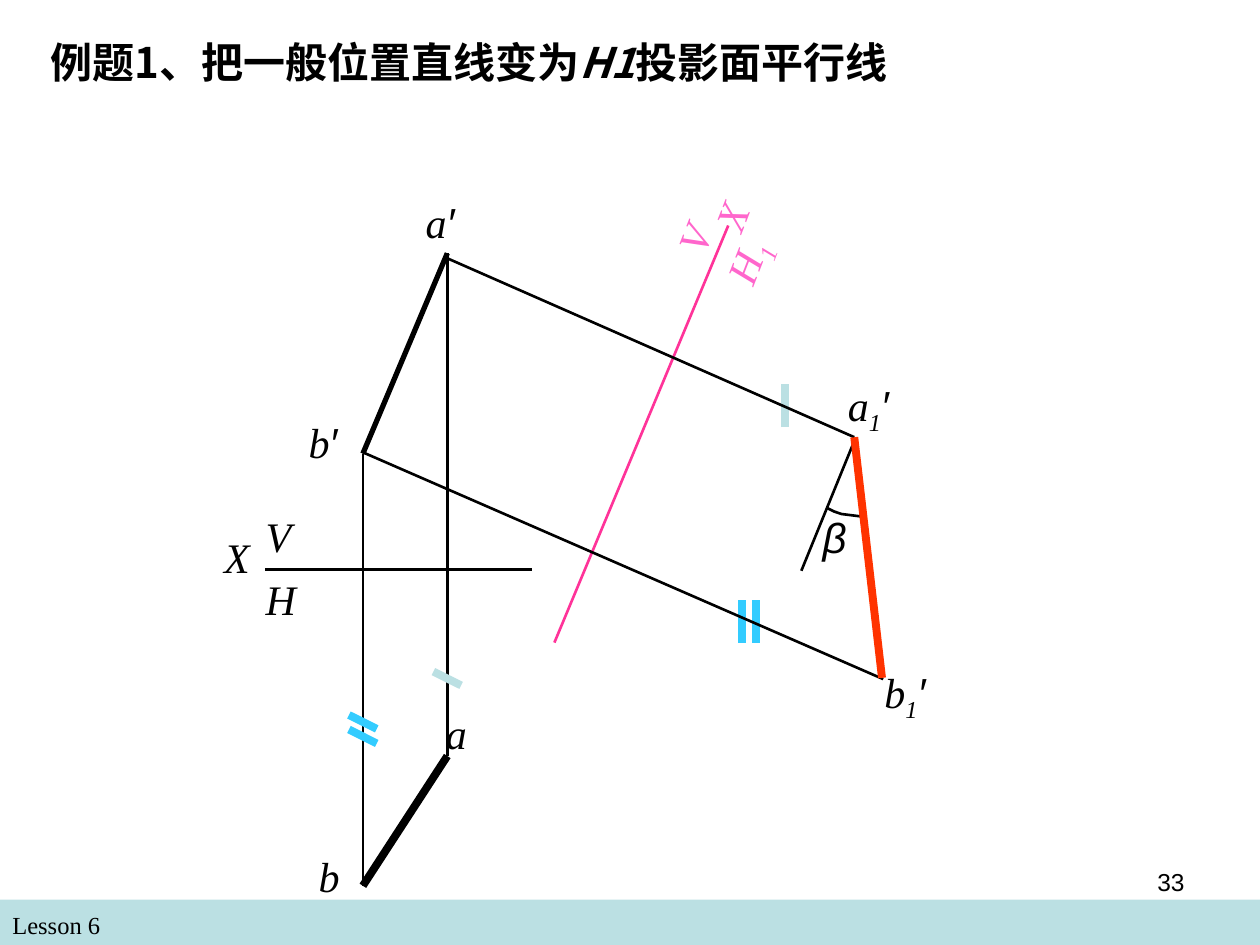
"""Build the descriptive-geometry slide: a general line turned parallel to plane H1."""
from lxml.etree import SubElement
from pptx import Presentation
from pptx.dml.color import RGBColor
from pptx.enum.shapes import MSO_CONNECTOR, MSO_SHAPE
from pptx.enum.text import MSO_ANCHOR, PP_ALIGN
from pptx.oxml.ns import qn
from pptx.util import Inches, Pt

BLACK = RGBColor(0, 0, 0)
PALE = RGBColor(0xBB, 0xE0, 0xE3)
SKY = RGBColor(0x33, 0xCC, 0xFF)
MAGENTA = RGBColor(0xFF, 0x33, 0x99)
PINK = RGBColor(0xFF, 0x66, 0xCC)
RED = RGBColor(0xFF, 0x33, 0x00)
SERIF, SANS, HEADING = "Times New Roman", "Arial", "Noto Sans CJK SC"
COLUMNS, ROWS = 100, 75

deck = Presentation()
deck.slide_width, deck.slide_height = Inches(10), Inches(7.5)
COL, ROW = deck.slide_width / COLUMNS, deck.slide_height / ROWS
slide = deck.slides.add_slide(deck.slide_layouts[5])
shapes = slide.shapes


def grid(*lengths):
    """Turn alternating columns and rows into slide lengths."""
    return [round(n * (ROW if i % 2 else COL)) for i, n in enumerate(lengths)]


def add_run(paragraph, text, font_name, size, color=BLACK, bold=False, italic=False):
    """Append one formatted run."""
    run = paragraph.add_run()
    run.text = text
    run.font.name, run.font.size = font_name, Pt(size)
    run.font.bold, run.font.italic = bold, italic
    run.font.color.rgb = color
    return run


footer_band = shapes.add_shape(MSO_SHAPE.RECTANGLE, *grid(0, 71.4, COLUMNS, 3.6))
footer_band.shadow.inherit = False
footer_band.fill.solid()
footer_band.fill.fore_color.rgb = PALE
footer_band.line.fill.background()

a_front, b_front = (35.5, 20.1), (28.8, 36)
a_top, b_top = (35.5, 60), (28.8, 70.3)
a_new, b_new = (67.8, 34.7), (70.1, 53.9)

segments = [
    ((42.2, 45.2), (21, 45.2), BLACK, 1.5),
    (b_top, b_front, BLACK, 1.5),
    (a_top, a_front, BLACK, 1.5),
    (b_front, a_front, BLACK, 3),
    (b_top, a_top, BLACK, 4.5),
]
for x, y, color in [(60, 47.6, SKY), (58.9, 47.6, SKY), (62.3, 30.5, PALE)]:
    segments.append(((x, y + 3.4), (x, y), color, 4.5))
for x, y, color in [(34.4, 53.3, PALE), (27.7, 57.9, SKY), (27.7, 56.75, SKY)]:
    segments.append(((x + 2.2, y + 1.1), (x, y), color, 4.5))
segments += [
    ((44, 51), (57.8, 17.9), MAGENTA, 1.5),
    (b_new, (28.8, 35.9), BLACK, 1.5),
    (a_new, (35.5, 20.5), BLACK, 1.5),
    ((67.8, 35), (63.6, 45.3), BLACK, 1.5),
]
for start, end, color, weight in segments:
    segment = shapes.add_connector(MSO_CONNECTOR.STRAIGHT, *grid(*start, *end))
    segment.line.color.rgb, segment.line.width = color, Pt(weight)
    SubElement(segment._element.spPr, qn("a:effectLst"))

angle_arc = [(68.4, 41), (67.6, 40.9), (66.8, 40.8), (66.2, 40.6), (65.6, 40.3)]
true_length = [(70, 53.8), a_new]
for points, color, weight in [(angle_arc, BLACK, 1.5), (true_length, RED, 4.5)]:
    builder = shapes.build_freeform(*grid(*points[0]))
    builder.add_line_segments([grid(*point) for point in points[1:]], close=False)
    outline = builder.convert_to_shape()
    outline.shadow.inherit = False
    outline.fill.background()
    outline.line.color.rgb, outline.line.width = color, Pt(weight)

AXIS_TURN = 291.2
labels = [
    ("b′", 23.5, 32.6, 8.9, 5, BLACK, 0),
    ("a′", 32.8, 15.1, 9, 5, BLACK, 0),
    ("b", 24.3, 67, 8.9, 5, BLACK, 0),
    ("a", 34.4, 55.7, 8.9, 5, BLACK, 0),
    ("X", 16.8, 41.7, 6.7, 5, BLACK, 0),
    ("H", 20.1, 45, 5.6, 5, BLACK, 0),
    ("V", 20.1, 40, 5.6, 5, BLACK, 0),
    ("X", 55.1, 13.4, 6.8, 5, PINK, AXIS_TURN),
    ("H1", 55.7, 16.5, 8.7, 5.6, PINK, AXIS_TURN),
    ("V", 52.5, 15.6, 5.7, 5, PINK, AXIS_TURN),
    ("a1′", 66.3, 29.6, 7.8, 5.6, BLACK, 0),
    ("b1′", 69.2, 52.4, 7.8, 5.6, BLACK, 0),
    ("β", 64.3, 40.1, 5, 5, BLACK, 0),
]
for name, left, top, width, height, color, turn in labels:
    label = shapes.add_textbox(*grid(left, top, width, height))
    label.rotation = turn
    label.text_frame.word_wrap = True
    for symbol in name:
        font_name = SANS if symbol in "′β" else SERIF
        run = add_run(label.text_frame.paragraphs[0], symbol, font_name, 24, color, italic=True)
        if symbol == "1":
            run._r.get_or_add_rPr().set("baseline", "-25000")

for text, box, font_name, align in [
    ("Lesson 6", (0, 71.7, 48.3, 3.4), SERIF, PP_ALIGN.LEFT),
    ("33", (71.7, 68.3, 23.3, 5.2), SANS, PP_ALIGN.RIGHT),
]:
    note = shapes.add_textbox(*grid(*box))
    note.text_frame.word_wrap = True
    note.text_frame.paragraphs[0].alignment = align
    add_run(note.text_frame.paragraphs[0], text, font_name, 14)

title = shapes.title
title.left, title.top, title.width, title.height = grid(3, 2.4, 73.5, 5)
title.text_frame.word_wrap = True
title.text_frame.vertical_anchor = MSO_ANCHOR.TOP
heading = title.text_frame.paragraphs[0]
heading.alignment = PP_ALIGN.LEFT
for text, italic in [("例题1、把一般位置直线变为", False), ("H1", True), ("投影面平行线", False)]:
    run = add_run(heading, text, HEADING, 24, bold=True, italic=italic)
    SubElement(run._r.get_or_add_rPr(), qn("a:ea")).set("typeface", HEADING)

deck.save("out.pptx")
